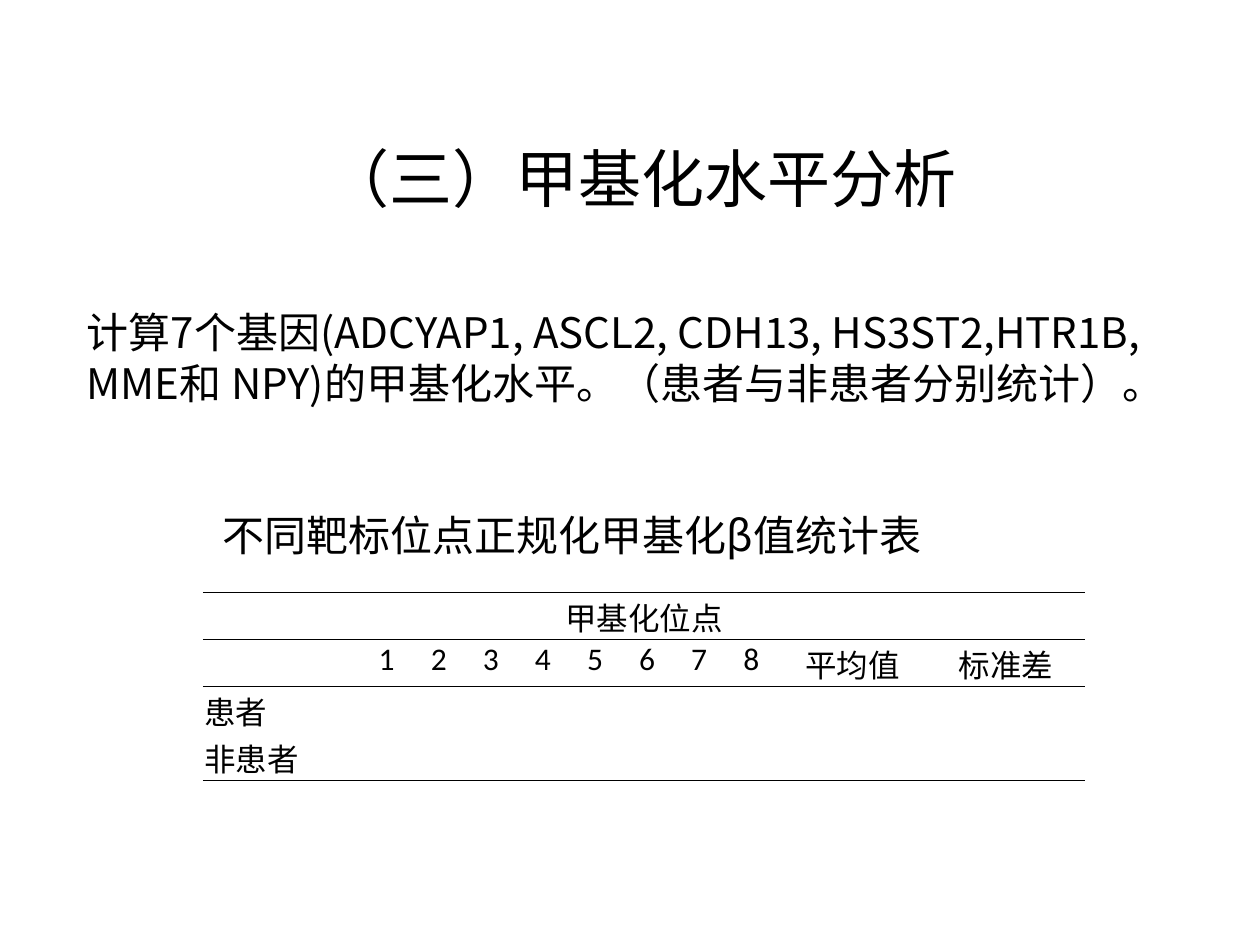
from lxml import etree
from pptx import Presentation
from pptx.dml.color import RGBColor
from pptx.enum.text import MSO_ANCHOR, PP_ALIGN
from pptx.oxml.ns import qn
from pptx.util import Cm, Pt

CENTER, LEFT, JUSTIFY = PP_ALIGN.CENTER, PP_ALIGN.LEFT, PP_ALIGN.JUSTIFY
TOP, MIDDLE = MSO_ANCHOR.TOP, MSO_ANCHOR.MIDDLE

COLORS = {"text": "000000", "rule": "000000"}
CJK = "Noto Sans CJK SC"
LATIN = "Calibri"

SITES = [str(n) for n in range(1, 9)]
COL_WIDTHS = [3.18] + [1.05] * len(SITES) + [3.02, 3.18]
ROW_HEIGHTS = [2.41] + [0.95] * 4
RULED_BOUNDARIES = {1, 2, 3, 5}

TITLE_FORMAT = {"alignment": CENTER, "line_spacing": Pt(48)}
BODY_FORMAT = {"alignment": LEFT, "line_spacing": Pt(29.2), "space_before": Pt(52)}


def set_format(obj, values):
    for name, value in values.items():
        setattr(obj, name, value)


def add_run(p, text, size, font=CJK):
    r = p.add_run()
    r.text = text
    set_format(r.font, {"name": font, "size": Pt(size)})
    r.font.color.rgb = RGBColor.from_string(COLORS["text"])
    etree.SubElement(r.font._element, qn("a:ea"), typeface=CJK)


def add_text(s):
    sp = s.shapes.add_textbox(Cm(1.5), Cm(2.51), Cm(22.86), Cm(6.8))
    tf = sp.text_frame
    tf.word_wrap = True
    title = tf.paragraphs[0]
    set_format(title, TITLE_FORMAT)
    add_run(title, "（三）甲基化水平分析", 36, "Arial")
    body = tf.add_paragraph()
    set_format(body, BODY_FORMAT)
    set_format(body._p.get_or_add_pPr(), {"marL": Cm(0.96), "indent": -Cm(0.96)})
    add_run(body, "计算7个基因(ADCYAP1, ASCL2, CDH13, HS3ST2,HTR1B, "
                  "MME和 NPY)的甲基化水平。（患者与非患者分别统计）。", 24)


def set_borders(cell, row):
    tcPr = cell._tc.get_or_add_tcPr()
    ruled = {"a:lnT": row in RULED_BOUNDARIES, "a:lnB": row + 1 in RULED_BOUNDARIES}
    for i, tag in enumerate(("a:lnL", "a:lnR", "a:lnT", "a:lnB")):
        ln = etree.Element(qn(tag), w=str(Pt(0.5)))
        if ruled.get(tag):
            fill = etree.SubElement(ln, qn("a:solidFill"))
            etree.SubElement(fill, qn("a:srgbClr"), val=COLORS["rule"])
        else:
            etree.SubElement(ln, qn("a:noFill"))
        tcPr.insert(i, ln)


def fill_cell(cell, text, align=CENTER, size=18, font=CJK, **values):
    set_format(cell, values)
    p = cell.text_frame.paragraphs[0]
    p.alignment = align
    add_run(p, text, size, font)


def add_statistics_table(s):
    frame = s.shapes.add_table(len(ROW_HEIGHTS), len(COL_WIDTHS), Cm(4.09), Cm(9.53),
                               Cm(sum(COL_WIDTHS)), Cm(sum(ROW_HEIGHTS)))
    table = frame.table
    set_format(table, {"first_row": False, "horz_banding": False})
    for col, width in zip(table.columns, COL_WIDTHS):
        col.width = Cm(width)
    margins = {"margin_left": Cm(0.03), "margin_right": Cm(0.03),
               "margin_top": Cm(0.03), "margin_bottom": 0}
    for i, (row, height) in enumerate(zip(table.rows, ROW_HEIGHTS)):
        row.height = Cm(height)
        for cell in row.cells:
            set_format(cell, margins)
            cell.fill.background()
            set_borders(cell, i)

    table.cell(0, 0).merge(table.cell(0, len(COL_WIDTHS) - 1))
    table.cell(1, 1).merge(table.cell(1, len(SITES) + 1))
    fill_cell(table.cell(0, 0), "不同靶标位点正规化甲基化β值统计表", JUSTIFY, 24,
              margin_left=Cm(0.4), vertical_anchor=MIDDLE)
    fill_cell(table.cell(1, 1), "甲基化位点", vertical_anchor=MIDDLE)
    for j, site in enumerate(SITES, 1):
        fill_cell(table.cell(2, j), site, font=LATIN, vertical_anchor=TOP)
    for j, label in enumerate(("平均值", "标准差"), len(SITES) + 1):
        fill_cell(table.cell(2, j), label)
    for i, (label, align) in enumerate((("患者", JUSTIFY), ("非患者", LEFT)), 3):
        fill_cell(table.cell(i, 0), label, align)


def main():
    prs = Presentation()
    set_format(prs, {"slide_width": Cm(25.4), "slide_height": Cm(19.05)})
    s = prs.slides.add_slide(prs.slide_layouts[6])
    add_text(s)
    add_statistics_table(s)
    prs.save("out.pptx")


if __name__ == "__main__":
    main()
